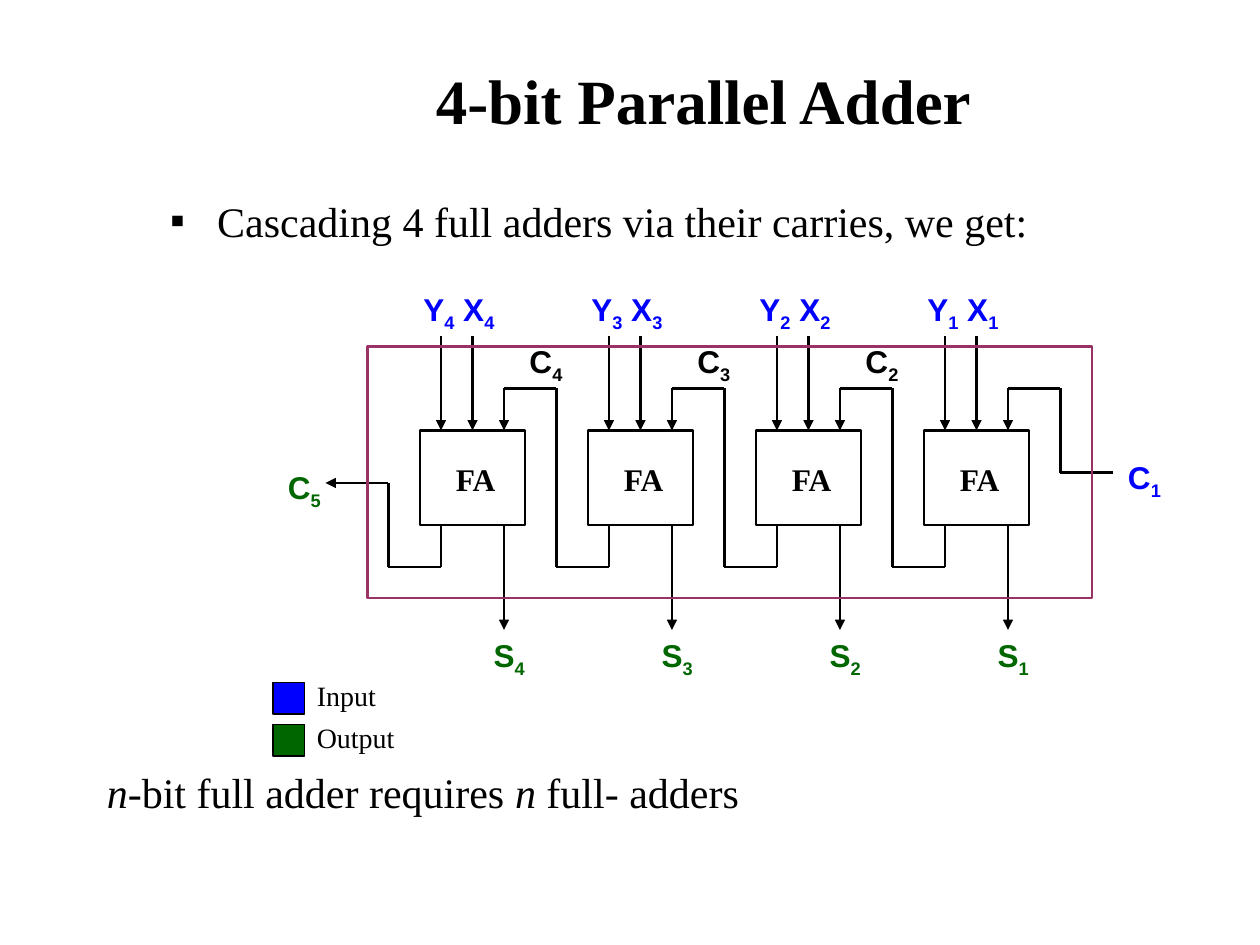
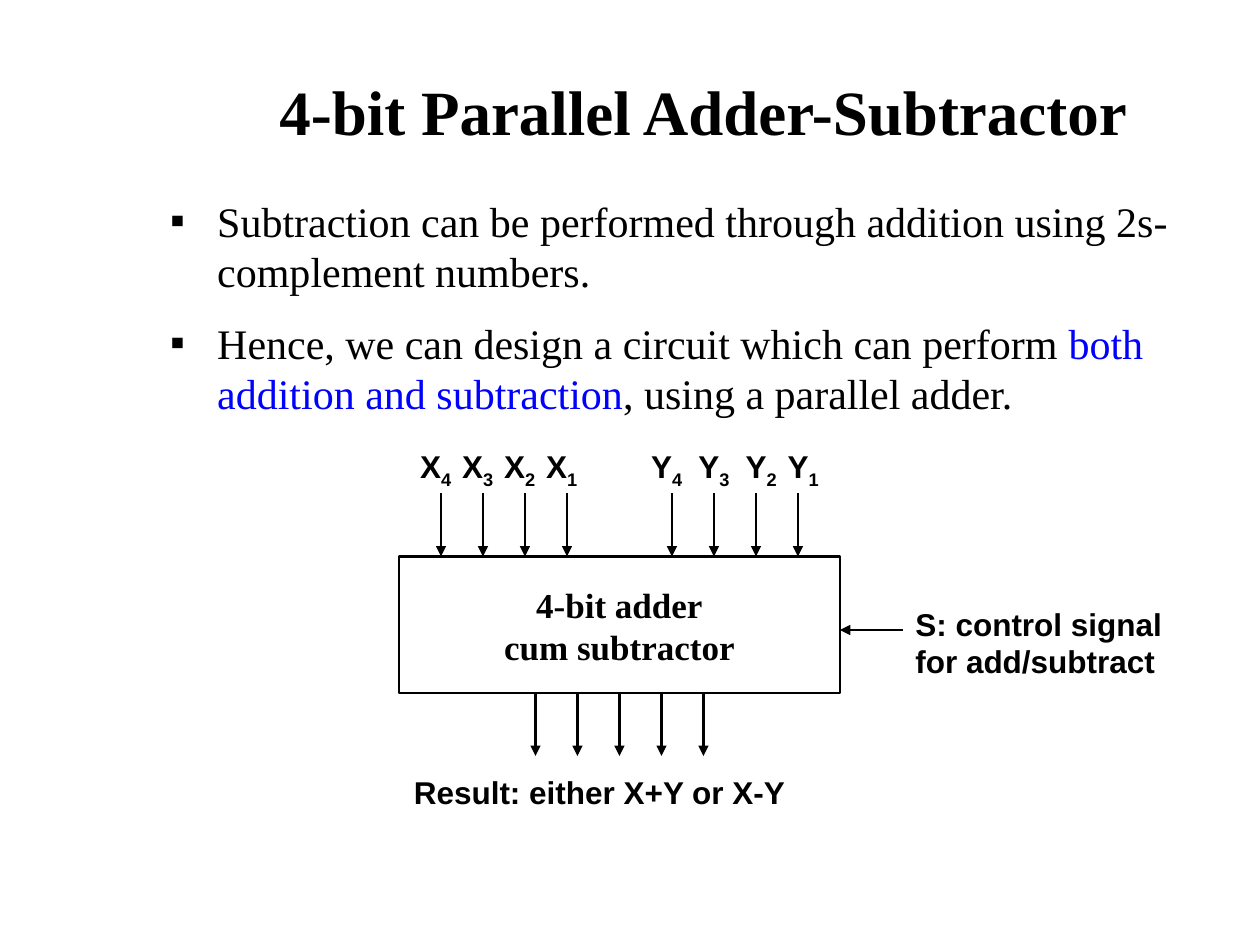
from dataclasses import dataclass
from itertools import pairwise
from typing import Any, NamedTuple

from lxml import etree
from pptx import Presentation
from pptx.dml.color import RGBColor
from pptx.enum import shapes, text
from pptx.oxml.ns import qn
from pptx.util import Cm, Length, Pt

BLACK = RGBColor(0x00, 0x00, 0x00)
INPUT_BLUE = RGBColor(0x00, 0x00, 0xFF)
OUTPUT_GREEN = RGBColor(0x00, 0x66, 0x00)
FRAME_PLUM = RGBColor(0x99, 0x33, 0x66)

SERIF, SANS = "Times New Roman", "Arial"
TITLE = {"name": SERIF, "size": Pt(36), "bold": True, "color": BLACK}
BODY = {"name": SERIF, "size": Pt(24), "bold": False, "color": BLACK}
SIGNAL = {"name": SANS, "size": Pt(18), "bold": True, "color": BLACK}
ADDER = {**SIGNAL, "name": SERIF}
BLOCK = {**ADDER, "size": Pt(20)}
LEGEND = {**BODY, "size": Pt(16)}

LEFT, CENTER = text.PP_ALIGN.LEFT, text.PP_ALIGN.CENTER
LABEL_H = 4.8
TOP, BOTTOM = 0, 2


class Run(NamedTuple):
    text: str
    fmt: dict[str, Any] = {}


class Box(NamedTuple):
    x: float
    y: float
    w: float
    h: float


@dataclass
class Label:
    box: Box
    paras: list[list[Run]]
    fmt: dict[str, Any]
    align: text.PP_ALIGN = CENTER


@dataclass
class Block:
    box: Box
    line: RGBColor = BLACK
    width: float = 1.5
    fill: RGBColor | None = None


def grid(n: float) -> Length:
    """Both slides are drawn on a grid of twelve steps to the inch."""
    return Cm(n * 2.54 / 12)


def place(box: Box) -> list[Length]:
    return [grid(n) for n in box]


def signal(name: str) -> list[Run]:
    """Split a name so that the character after each underscore is a subscript."""
    head, *tails = name.split("_")
    runs = [Run(head)]
    for tail in tails:
        runs.append(Run(tail[0], {"baseline": -25000}))
        if tail[1:]:
            runs.append(Run(tail[1:]))
    return runs


def add_runs(p, runs: list[Run], fmt: dict[str, Any]) -> None:
    for run in runs:
        r = p.add_run()
        r.text = run.text
        for key, value in {**fmt, **run.fmt}.items():
            if key == "color":
                r.font.color.rgb = value
            elif key == "baseline":
                r._r.get_or_add_rPr().set("baseline", str(value))
            else:
                setattr(r.font, key, value)


def fill_text(tf, paras: list[list[Run]], fmt: dict[str, Any], align: text.PP_ALIGN) -> None:
    for i, runs in enumerate(paras):
        p = tf.add_paragraph() if i else tf.paragraphs[0]
        p.alignment = align
        p.space_before = Pt(0)
        add_runs(p, runs, fmt)


def draw_label(sps, label: Label) -> None:
    tf = sps.add_textbox(*place(label.box)).text_frame
    tf.word_wrap = True
    tf.auto_size = text.MSO_AUTO_SIZE.SHAPE_TO_FIT_TEXT
    fill_text(tf, label.paras, label.fmt, label.align)


def draw_signal(sps, x: float, y: float, w: float, name: str, color: RGBColor = BLACK) -> None:
    draw_label(sps, Label(Box(x, y, w, LABEL_H), [signal(name)], {**SIGNAL, "color": color}))


def draw_block(sps, block: Block):
    sp = sps.add_shape(shapes.MSO_SHAPE.RECTANGLE, *place(block.box))
    sp.shadow.inherit = False
    sp.line.color.rgb = block.line
    sp.line.width = Pt(block.width)
    if block.fill is None:
        sp.fill.background()
    else:
        sp.fill.solid()
        sp.fill.fore_color.rgb = block.fill
    return sp


def draw_wire(sps, *points: tuple[float, float], arrow: bool = False):
    """Join the points with straight lines and return the last one."""
    for start, end in pairwise(points):
        wire = sps.add_connector(shapes.MSO_CONNECTOR.STRAIGHT, *map(grid, start + end))
        wire.line.color.rgb = BLACK
        wire.line.width = Pt(1.25)
        etree.SubElement(wire._element.spPr, qn("a:effectLst"))
    if arrow:
        etree.SubElement(wire.line._get_or_add_ln(), qn("a:tailEnd"), type="triangle")
    return wire


def add_bullet(p) -> None:
    pPr = p._p.get_or_add_pPr()
    pPr.set("marL", str(Cm(0.95)))
    pPr.set("indent", str(-Cm(0.95)))
    color = etree.SubElement(pPr, qn("a:buClr"))
    etree.SubElement(color, qn("a:srgbClr"), val=str(BLACK))
    etree.SubElement(pPr, qn("a:buFont"), typeface=SANS)
    etree.SubElement(pPr, qn("a:buChar"), char="▪")


def set_placeholder(sp, box: Box, paras: list[list[Run]], fmt: dict[str, Any],
                    align: text.PP_ALIGN, anchor: text.MSO_ANCHOR) -> None:
    sp.left, sp.top, sp.width, sp.height = place(box)
    tf = sp.text_frame
    tf.auto_size = text.MSO_AUTO_SIZE.NONE
    tf.vertical_anchor = anchor
    fill_text(tf, paras, fmt, align)


def add_slide(prs, title: str, title_y: float, bullets: list[list[Run]], body_h: float):
    slide = prs.slides.add_slide(prs.slide_layouts[1])
    head, body = slide.placeholders
    set_placeholder(head, Box(16, title_y, 102, 15), [[Run(title)]], TITLE,
                    CENTER, text.MSO_ANCHOR.MIDDLE)
    set_placeholder(body, Box(15, 18, 102, body_h), bullets, BODY,
                    LEFT, text.MSO_ANCHOR.TOP)
    for i, p in enumerate(body.text_frame.paragraphs):
        p.space_before = Pt(12 if i else 0)
        add_bullet(p)
    return slide


def draw_full_adder(sps, x: float, bit: int) -> None:
    """Draw one stage whose box starts at x, with its carry coming from the right."""
    box = draw_block(sps, Block(Box(x, 41, 10, 9)))
    draw_label(sps, Label(Box(x + 1.3, 43.2, 8, LABEL_H), [[Run("FA")]], ADDER))
    draw_signal(sps, x - 2, 27, 11.4, f"Y_{bit} X_{bit}", INPUT_BLUE)
    draw_signal(sps, x + 5, 60, 7, f"S_{bit}", OUTPUT_GREEN)
    draw_wire(sps, (x + 2, 32), (x + 2, 41), arrow=True)
    draw_wire(sps, (x + 5, 32), (x + 5, 41), arrow=True).end_connect(box, TOP)
    draw_wire(sps, (x + 8, 37), (x + 8, 41), arrow=True)
    draw_wire(sps, (x + 8, 50), (x + 8, 60), arrow=True)
    carry = [(x + 8, 37), (x + 13, 37)]
    if bit == 1:
        carry += [(x + 13, 45), (x + 18, 45)]
    else:
        carry += [(x + 13, 54), (x + 18, 54), (x + 18, 50)]
        draw_signal(sps, x + 9, 32, 6, f"C_{bit}")
    draw_wire(sps, *carry)


def add_adder_slide(prs) -> None:
    slide = add_slide(prs, "4-bit Parallel Adder", 2,
                      [[Run("Cascading 4 full adders via their carries, we get:")]], 6)
    sps = slide.shapes.add_group_shape().shapes
    for i, bit in enumerate((4, 3, 2, 1)):
        draw_full_adder(sps, 40 + 16 * i, bit)
    draw_wire(sps, (42, 50), (42, 54), (37, 54), (37, 46), (31, 46), arrow=True)
    draw_signal(sps, 106, 43, 6, "C_1", INPUT_BLUE)
    draw_signal(sps, 26, 44, 6, "C_5", OUTPUT_GREEN)
    draw_block(sps, Block(Box(35, 33, 69, 24), FRAME_PLUM, 1.25))

    for i, (name, color) in enumerate((("Input", INPUT_BLUE), ("Output", OUTPUT_GREEN))):
        y = 64 + 4 * i
        draw_block(slide.shapes, Block(Box(26, y + 1, 3, 3), width=0.75, fill=color))
        draw_label(slide.shapes, Label(Box(29, y, 12, 4.4), [[Run(name)]], LEGEND, LEFT))
    italic = {"italic": True}
    note = [Run("n", italic), Run("-bit full adder requires "),
            Run("n", italic), Run(" full- adders")]
    draw_label(slide.shapes, Label(Box(9, 72.4, 108, 6.1), [note], BODY, LEFT))


def add_subtractor_slide(prs) -> None:
    bullets = [
        [Run("Subtraction can be performed through addition using 2s-complement numbers.")],
        [Run("Hence, we can design a circuit which can perform "),
         Run("both addition and subtraction", {"color": INPUT_BLUE}),
         Run(", using a parallel adder.")],
    ]
    slide = add_slide(prs, "4-bit Parallel Adder-Subtractor", 3, bullets, 23)
    sps = slide.shapes.add_group_shape().shapes
    box = draw_block(sps, Block(Box(38, 53, 42, 13)))
    draw_label(sps, Label(Box(44, 55, 30, 9.2),
                          [[Run("4-bit adder")], [Run("cum subtractor")]], BLOCK))

    operands = {"X": (42, (38, 42, 46, 50)), "Y": (64, (60, 64.5, 69, 73))}
    for operand, (wire_x, label_xs) in operands.items():
        for i, label_x in enumerate(label_xs):
            x = wire_x + 4 * i
            draw_signal(sps, label_x, 42, 7, f"{operand}_{4 - i}")
            draw_wire(sps, (x, 47), (x, 53), arrow=True)
    for i in range(5):
        x = 51 + 4 * i
        result = draw_wire(sps, (x, 66), (x, 72), arrow=True)
        if i == 2:
            result.begin_connect(box, BOTTOM)
    draw_wire(sps, (86, 60), (80, 60), arrow=True)
    draw_label(sps, Label(Box(86, 57, 27, 8.4),
                          [[Run("S: control signal for add/subtract")]], SIGNAL, LEFT))
    draw_signal(sps, 35.6, 73, 43, "Result: either X+Y or X-Y")


def main() -> None:
    prs = Presentation()
    prs.slide_width, prs.slide_height = Cm(25.4), Cm(19.05)
    add_adder_slide(prs)
    add_subtractor_slide(prs)
    prs.save("out.pptx")


if __name__ == "__main__":
    main()
